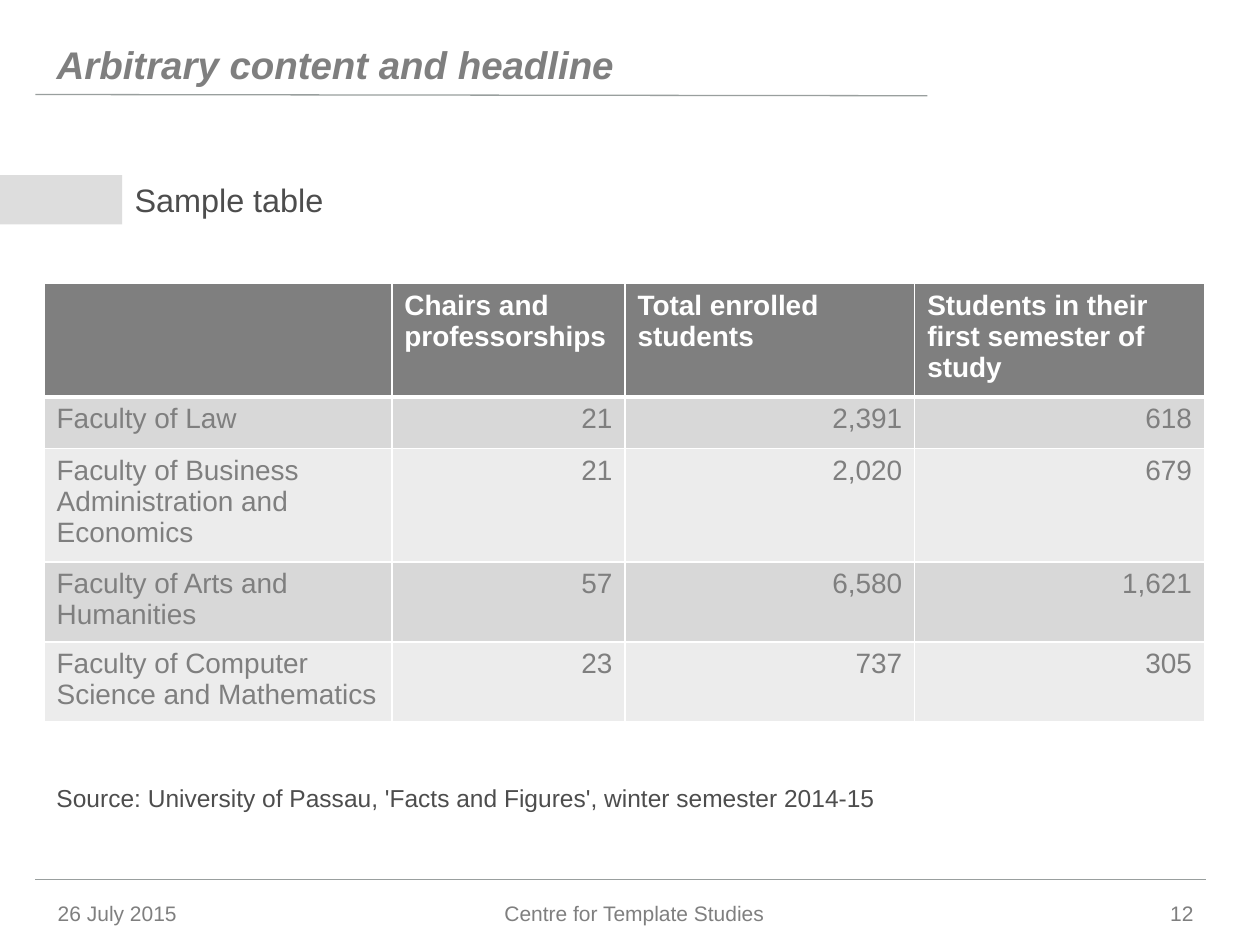
"""Build a slide with a headline and a table of faculty figures."""
from lxml.etree import SubElement
from pptx import Presentation
from pptx.dml.color import RGBColor
from pptx.enum.shapes import MSO_CONNECTOR, MSO_SHAPE
from pptx.enum.text import MSO_ANCHOR, PP_ALIGN
from pptx.oxml.ns import qn
from pptx.util import Inches, Pt


def color(hex_value):
    """Return the colour for a hex string."""
    return RGBColor.from_string(hex_value)


def write(frame, text, hue, align=PP_ALIGN.LEFT, **formats):
    """Put one formatted paragraph into a text frame."""
    paragraph = frame.paragraphs[0]
    paragraph.alignment = align
    run = paragraph.add_run()
    run.text = text
    run.font.color.rgb = color(hue)
    for name, value in {"name": "Arial", "bold": False, **formats}.items():
        setattr(run.font, name, value)
    return paragraph


GREY, DARK, WHITE = "7F7F7F", "4D4D4D", "FFFFFF"

deck = Presentation()
deck.slide_width, deck.slide_height = Inches(10), Inches(7.5)
slide = deck.slides.add_slide(deck.slide_layouts[5])
shapes = slide.shapes

for start_y, end_x, end_y in [(0.75, 7.36, 0.76), (6.98, 9.57, 6.98)]:
    rule = shapes.add_connector(MSO_CONNECTOR.STRAIGHT, Inches(0.28), Inches(start_y),
                                Inches(end_x), Inches(end_y))
    rule.line.color.rgb = color("999F9E")
    rule.line.width = Pt(0.75)
    SubElement(rule.element.spPr, qn("a:effectLst"))

marker = shapes.add_shape(MSO_SHAPE.RECTANGLE, 0, Inches(1.39), Inches(0.97), Inches(0.39))
marker.shadow.inherit = False
marker.fill.solid()
marker.fill.fore_color.rgb = color("DDDDDD")
marker.line.fill.background()

headline = shapes.title
headline_place = {"left": 0.35, "top": 0.19, "width": 7.08, "height": 0.55}
for name, value in headline_place.items():
    setattr(headline, name, Inches(value))
headline.text_frame.vertical_anchor = MSO_ANCHOR.BOTTOM
headline_line = write(headline.text_frame, "Arbitrary content and headline", GREY,
                      size=Pt(22), bold=True, italic=True)
headline_line.line_spacing = Pt(12)

labels = [
    ("26 July 2015", 0.36, 7.05, 1.18, 12, GREY, PP_ALIGN.LEFT, MSO_ANCHOR.MIDDLE),
    ("Centre for Template Studies", 1.61, 7.05, 6.85, 12, GREY, PP_ALIGN.CENTER, MSO_ANCHOR.MIDDLE),
    ("12", 8.98, 7.05, 0.59, 12, GREY, PP_ALIGN.RIGHT, MSO_ANCHOR.MIDDLE),
    ("Sample table", 0.97, 1.39, 8.6, 18.5, DARK, PP_ALIGN.LEFT, MSO_ANCHOR.MIDDLE),
    ("Source: University of Passau, 'Facts and Figures', winter semester 2014-15",
     0.35, 6.11, 8.6, 14, DARK, PP_ALIGN.LEFT, MSO_ANCHOR.BOTTOM),
]
for text, left, top, width, size, hue, align, anchor in labels:
    frame = shapes.add_textbox(Inches(left), Inches(top), Inches(width), Inches(0.39)).text_frame
    frame.word_wrap = True
    frame.vertical_anchor = anchor
    write(frame, text, hue, align, size=Pt(size))

faculties = [
    ("", "Chairs and professorships", "Total enrolled students",
     "Students in their first semester of study"),
    ("Faculty of Law", "21", "2,391", "618"),
    ("Faculty of Business Administration and Economics", "21", "2,020", "679"),
    ("Faculty of Arts and Humanities", "57", "6,580", "1,621"),
    ("Faculty of Computer Science and Mathematics", "23", "737", "305"),
]
column_widths = [2.76, 1.85, 2.3, 2.3]
row_heights = [0.83, 0.41, 0.84, 0.6, 0.59]
table = shapes.add_table(len(faculties), len(column_widths), Inches(0.35), Inches(2.25),
                         Inches(sum(column_widths)), Inches(sum(row_heights))).table
for column, width in zip(table.columns, column_widths):
    column.width = Inches(width)
for row, height in zip(table.rows, row_heights):
    row.height = Inches(height)

for row_index, faculty in enumerate(faculties):
    header = row_index == 0
    fill = GREY if header else ("ECECEC", "D8D8D8")[row_index % 2]
    edges = {"lnL": 1, "lnR": 1, "lnT": 3 if row_index == 1 else 1, "lnB": 3 if header else 1}
    for column_index, text in enumerate(faculty):
        cell = table.cell(row_index, column_index)
        properties = cell._tc.get_or_add_tcPr()
        for edge, points in edges.items():
            border = SubElement(properties, qn(f"a:{edge}"), w=str(Pt(points)))
            SubElement(SubElement(border, qn("a:solidFill")), qn("a:srgbClr"), val=WHITE)
        cell.fill.solid()
        cell.fill.fore_color.rgb = color(fill)
        if text:
            align = PP_ALIGN.LEFT if header or column_index == 0 else PP_ALIGN.RIGHT
            write(cell.text_frame, text, WHITE if header else GREY, align,
                  size=Pt(16), bold=header)

deck.save("out.pptx")
